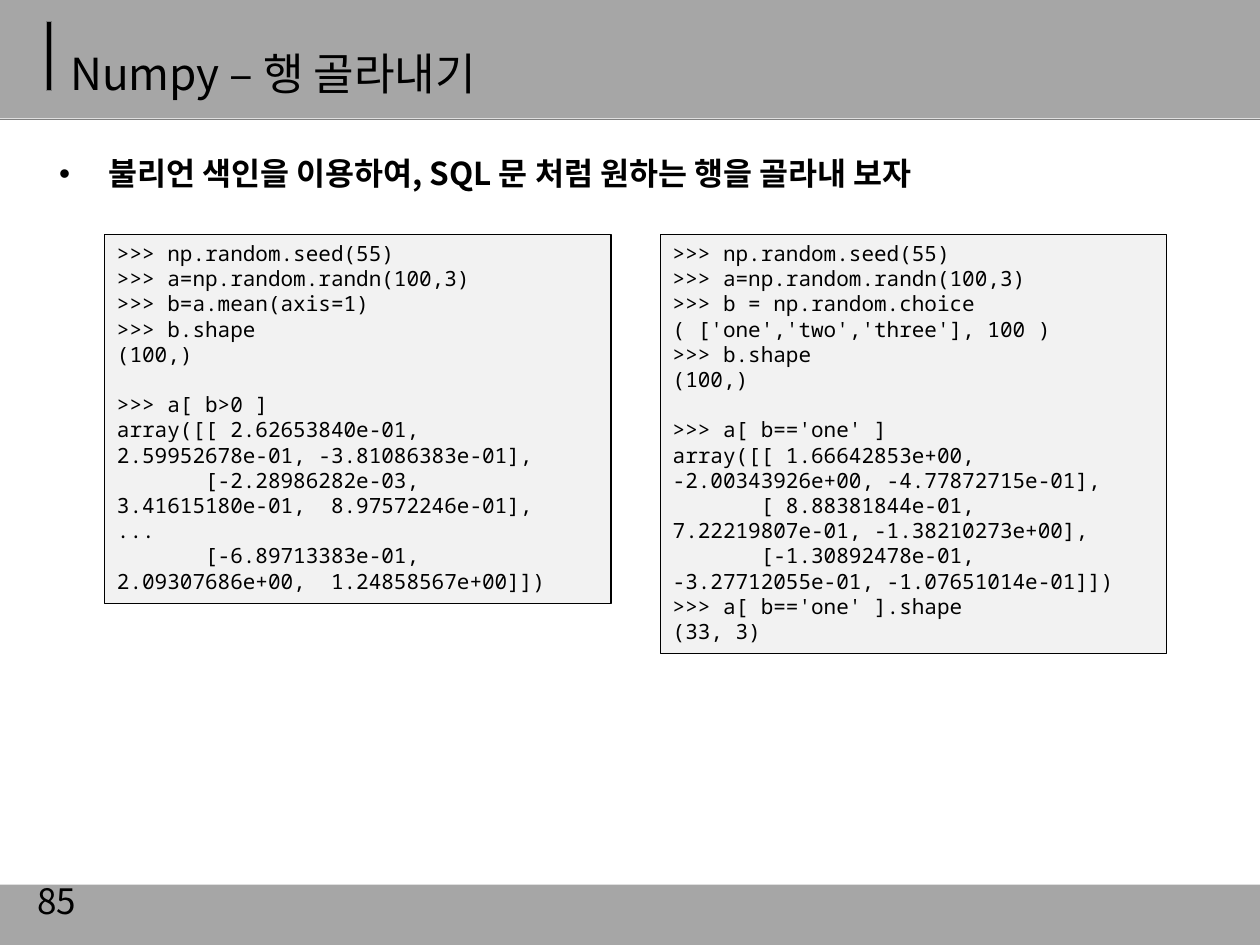
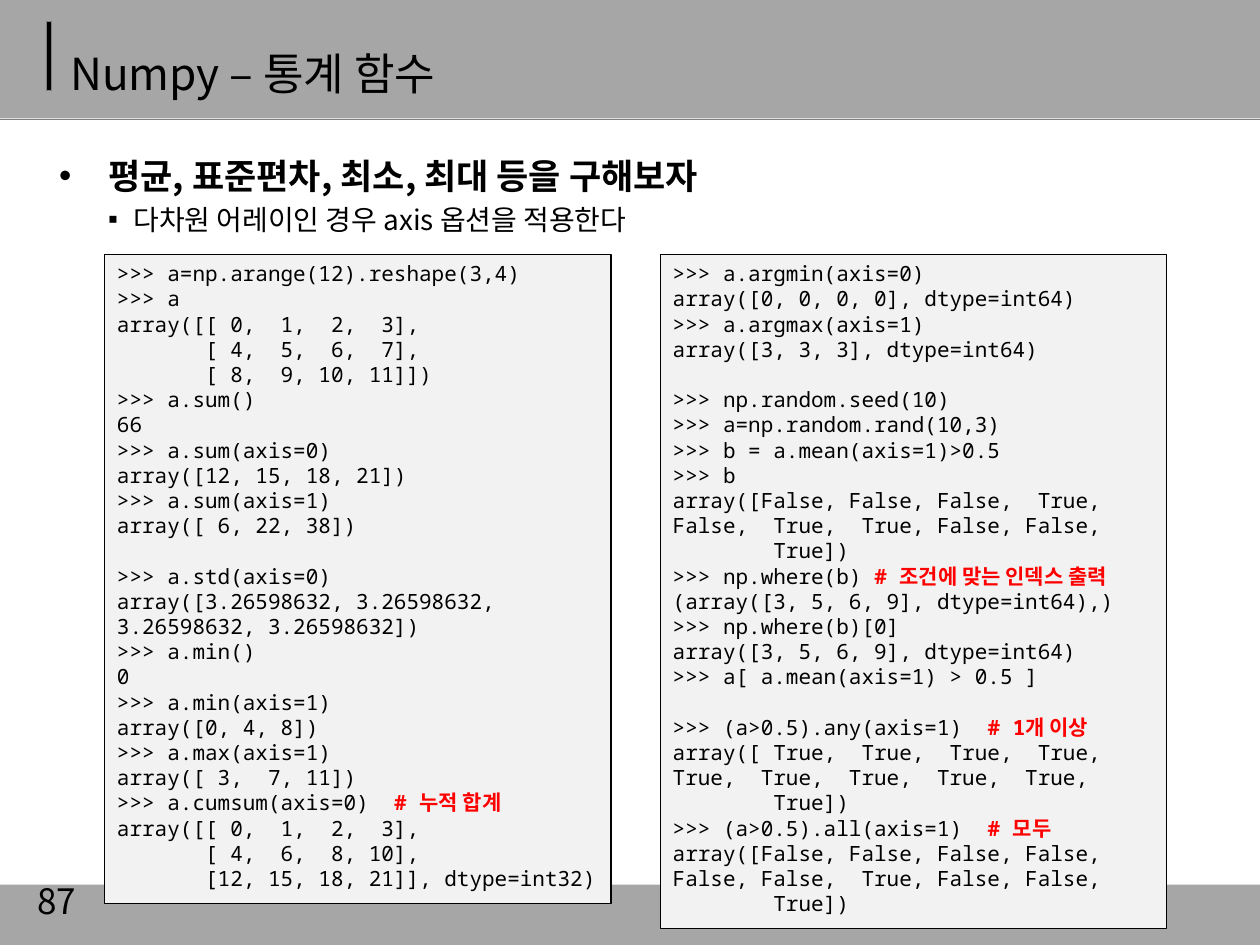
from lxml import etree
from pptx import Presentation
from pptx.dml.color import RGBColor
from pptx.enum.shapes import MSO_CONNECTOR, MSO_SHAPE
from pptx.enum.text import MSO_ANCHOR, PP_ALIGN
from pptx.oxml.ns import qn
from pptx.util import Inches, Pt

BLACK = RGBColor(0x00, 0x00, 0x00)
RED = RGBColor(0xFF, 0x00, 0x00)
BAND_GRAY = RGBColor(0xA6, 0xA6, 0xA6)
RULE_GRAY = RGBColor(0x80, 0x80, 0x80)
CODE_GRAY = RGBColor(0xF2, 0xF2, 0xF2)
RECTANGLE = MSO_SHAPE.RECTANGLE
STRAIGHT = MSO_CONNECTOR.STRAIGHT
LEFT = PP_ALIGN.LEFT
TOP, MIDDLE = MSO_ANCHOR.TOP, MSO_ANCHOR.MIDDLE
SANS, MONO = "Noto Sans CJK KR", "Noto Sans Mono"

CODE_LEFTS = (0.83, 5.24)
CODE_WIDTH = 4.02
CODE_PITCH = Pt(14.4)
BULLETS = (("•", 0.39, -0.39), ("▪", 0.59, -0.2))

SLIDES = [
    {
        "number": "85",
        "title": "Numpy – 행 골라내기",
        "points": [("불리언 색인을 이용하여, SQL 문 처럼 원하는 행을 골라내 보자", 18)],
        "code_top": 1.86,
        "code_heights": (2.93, 3.33),
        "codes": (
            """>>> np.random.seed(55)
>>> a=np.random.randn(100,3)
>>> b=a.mean(axis=1)
>>> b.shape
(100,)

>>> a[ b>0 ]
array([[ 2.62653840e-01,  2.59952678e-01, -3.81086383e-01],
       [-2.28986282e-03,  3.41615180e-01,  8.97572246e-01],
...
       [-6.89713383e-01,  2.09307686e+00,  1.24858567e+00]])""",
            """>>> np.random.seed(55)
>>> a=np.random.randn(100,3)
>>> b = np.random.choice ( ['one','two','three'], 100 )
>>> b.shape
(100,)

>>> a[ b=='one' ]
array([[ 1.66642853e+00, -2.00343926e+00, -4.77872715e-01],
       [ 8.88381844e-01,  7.22219807e-01, -1.38210273e+00],
       [-1.30892478e-01, -3.27712055e-01, -1.07651014e-01]])
>>> a[ b=='one' ].shape
(33, 3)""",
        ),
    },
    {
        "number": "87",
        "title": "Numpy – 통계 함수",
        "points": [("평균, 표준편차, 최소, 최대 등을 구해보자", 20),
                   ("다차원 어레이인 경우 axis 옵션을 적용한다", 16)],
        "code_top": 2.02,
        "code_heights": (5.15, 5.35),
        "codes": (
            """>>> a=np.arange(12).reshape(3,4)
>>> a
array([[ 0,  1,  2,  3],
       [ 4,  5,  6,  7],
       [ 8,  9, 10, 11]])
>>> a.sum()
66
>>> a.sum(axis=0)
array([12, 15, 18, 21])
>>> a.sum(axis=1)
array([ 6, 22, 38])

>>> a.std(axis=0)
array([3.26598632, 3.26598632, 3.26598632, 3.26598632])
>>> a.min()
0
>>> a.min(axis=1)
array([0, 4, 8])
>>> a.max(axis=1)
array([ 3,  7, 11])
>>> a.cumsum(axis=0)  # 누적 합계
array([[ 0,  1,  2,  3],
       [ 4,  6,  8, 10],
       [12, 15, 18, 21]], dtype=int32)""",
            """>>> a.argmin(axis=0)
array([0, 0, 0, 0], dtype=int64)
>>> a.argmax(axis=1)
array([3, 3, 3], dtype=int64)

>>> np.random.seed(10)
>>> a=np.random.rand(10,3)
>>> b = a.mean(axis=1)>0.5
>>> b
array([False, False, False,  True, False,  True,  True, False, False,
        True])
>>> np.where(b) # 조건에 맞는 인덱스 출력
(array([3, 5, 6, 9], dtype=int64),)
>>> np.where(b)[0]
array([3, 5, 6, 9], dtype=int64)
>>> a[ a.mean(axis=1) > 0.5 ]

>>> (a>0.5).any(axis=1)  # 1개 이상
array([ True,  True,  True,  True,  True,  True,  True,  True,  True,
        True])
>>> (a>0.5).all(axis=1)  # 모두
array([False, False, False, False, False, False,  True, False, False,
        True])""",
        ),
    },
]


def add_run(paragraph, text, size, font=SANS, color=BLACK, bold=False):
    """Append a run with its Latin and Korean typefaces."""
    run = paragraph.add_run()
    run.text = text
    for name, value in {"size": Pt(size), "name": font, "bold": bold}.items():
        setattr(run.font, name, value)
    run.font.color.rgb = color
    korean = etree.SubElement(run.font._element, qn("a:ea"))
    korean.set("typeface", SANS)


def add_rect(slide, box, fill, line=None):
    """Add a flat rectangle, outlined only when a line colour is given."""
    rect = slide.shapes.add_shape(RECTANGLE, *map(Inches, box))
    rect.shadow.inherit = False
    rect.fill.solid()
    rect.fill.fore_color.rgb = fill
    if line is None:
        rect.line.fill.background()
    else:
        rect.line.color.rgb = line
        rect.line.width = Pt(0.75)
    return rect


def add_frame(slide, box, anchor=TOP):
    """Add a wrapping text box and return its text frame."""
    frame = slide.shapes.add_textbox(*map(Inches, box)).text_frame
    frame.word_wrap = True
    frame.vertical_anchor = anchor
    return frame


def next_paragraph(frame, index):
    """Return the first paragraph, or append one for later indexes."""
    return frame.add_paragraph() if index else frame.paragraphs[0]


def add_bands(slide):
    """Draw the header band with its rule and accent, and the footer band."""
    add_rect(slide, (0, -0.01, 10, 0.95), BAND_GRAY)
    rule = slide.shapes.add_connector(
        STRAIGHT, 0, Inches(0.95), Inches(10), Inches(0.95))
    rule.line.color.rgb = RULE_GRAY
    rule.line.width = Pt(0.75)
    etree.SubElement(rule._element.spPr, qn("a:effectLst"))
    add_rect(slide, (0.37, 0.17, 0.04, 0.55), BLACK, RULE_GRAY)
    add_rect(slide, (0, 7.02, 10, 0.48), BAND_GRAY)


def add_title(slide, title):
    """Write the slide title in the header band."""
    heading = add_frame(slide, (0.46, 0.14, 8.62, 0.62), MIDDLE).paragraphs[0]
    heading.line_spacing = Pt(49)
    add_run(heading, title, 25.2)


def add_points(slide, points, box):
    """Write the bold main point and any lesser point below it."""
    frame = add_frame(slide, box)
    for level, (text, size) in enumerate(points):
        point = next_paragraph(frame, level)
        point.level = level
        point.line_spacing = Pt(1.3 * size)
        point.space_before = Pt(1.5 * level)
        mark, margin, indent = BULLETS[level]
        properties = point._p.get_or_add_pPr()
        properties.set("marL", str(Inches(margin)))
        properties.set("indent", str(Inches(indent)))
        bullet_font = etree.SubElement(properties, qn("a:buFont"))
        bullet_font.set("typeface", "Arial")
        bullet = etree.SubElement(properties, qn("a:buChar"))
        bullet.set("char", mark)
        add_run(point, text, size, bold=level == 0)


def add_code(slide, code, box):
    """Show a console session with its comments in bold red."""
    frame = add_rect(slide, box, CODE_GRAY, BLACK).text_frame
    frame.word_wrap = True
    frame.vertical_anchor = TOP
    index = 0
    for part, block in enumerate(code.split("\n\n")):
        for row, line in enumerate(block.split("\n")):
            paragraph = next_paragraph(frame, index)
            index += 1
            paragraph.alignment = LEFT
            paragraph.line_spacing = CODE_PITCH
            if part and row == 0:
                paragraph.space_before = CODE_PITCH
            command, sign, comment = line.partition("#")
            add_run(paragraph, command, 12, MONO)
            if sign:
                add_run(paragraph, sign + comment, 12, MONO, RED, True)


def add_number(slide, number):
    """Write the page number on the footer band."""
    frame = add_frame(slide, (0.2, 6.95, 2.33, 0.4), MIDDLE)
    add_run(frame.paragraphs[0], number, 20)


def build_slide(deck, content):
    """Build one slide with its points and two console sessions."""
    slide = deck.slides.add_slide(deck.slide_layouts[6])
    add_bands(slide)
    add_points(slide, content["points"], (0.37, 1.15, 9.28, 2.28))
    add_title(slide, content["title"])
    for code, left, height in zip(content["codes"], CODE_LEFTS, content["code_heights"]):
        add_code(slide, code, (left, content["code_top"], CODE_WIDTH, height))
    add_number(slide, content["number"])


def main():
    """Build and save the deck."""
    deck = Presentation()
    deck.slide_width, deck.slide_height = Inches(10), Inches(7.5)
    for content in SLIDES:
        build_slide(deck, content)
    deck.save("out.pptx")


if __name__ == "__main__":
    main()
